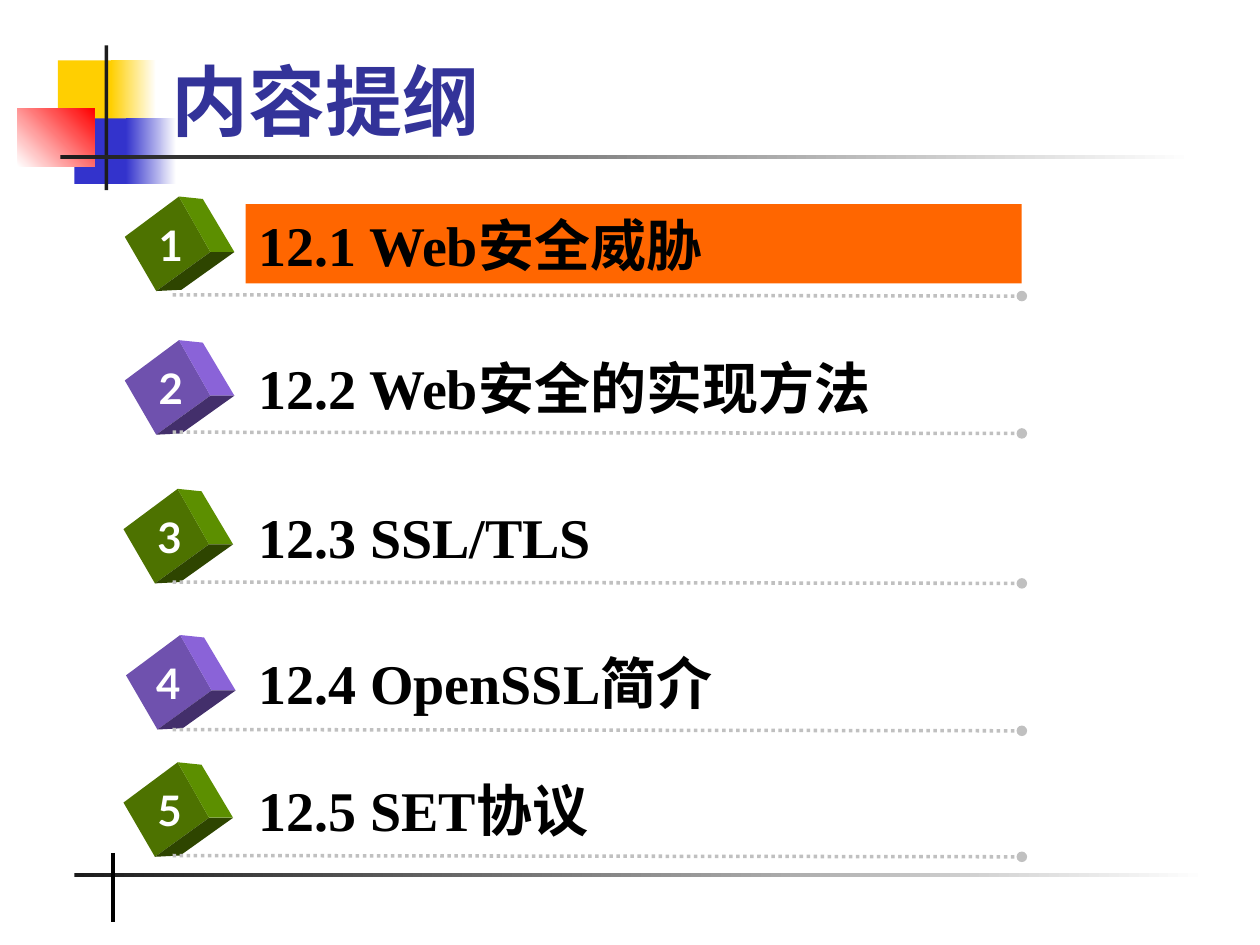
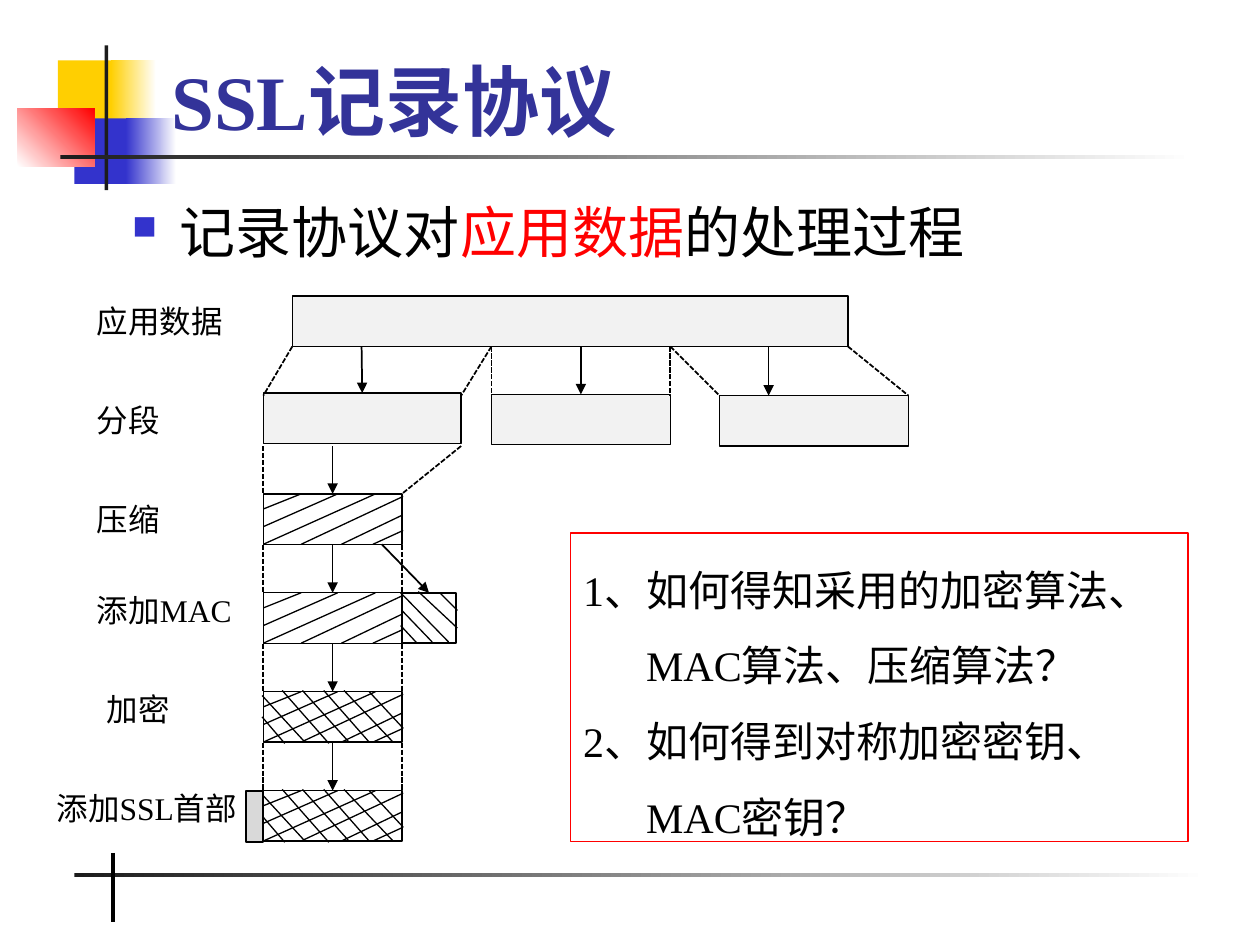
from pptx import Presentation
from pptx.dml.color import RGBColor
from pptx.enum.dml import MSO_LINE_DASH_STYLE as Dash
from pptx.enum.shapes import MSO_CONNECTOR_TYPE as Connector, MSO_SHAPE as Shape
from pptx.enum.text import MSO_ANCHOR as Anchor, MSO_AUTO_SIZE as AutoSize, PP_ALIGN as Align
from pptx.oxml.ns import qn
from pptx.util import Inches, Pt
from lxml.etree import SubElement

COLORS = {
    "black": "000000", "white": "FFFFFF", "ink": "1C1C1C", "title": "333399",
    "yellow": "FFCF01", "blue": "3333CC", "red": "FF0000", "orange": "FF6600",
    "dots": "C0C0C0", "data": "F2F2F2", "header": "D9D9D9",
}
# Front, upper and lower face of a cube
CUBE_COLORS = [("4D7200", "5C8F00", "2E4500"), ("6F51AE", "8A63D8", "432F6B")]
CUBE_FACES = [
    [(0, 0.32), (0.43, 0), (0.68, 0.44), (0.25, 0.75)],
    [(0.43, 0), (0.62, 0.02), (0.87, 0.44), (0.68, 0.44)],
    [(0.25, 0.75), (0.45, 0.74), (0.87, 0.44), (0.68, 0.44)],
]
SERIF = "Times New Roman"

# Text, text top, dotted line top, cube left
OUTLINE = [
    ("12.1 Web安全威胁", 1.62, 2.34, 0.99),
    ("12.2 Web安全的实现方法", 2.76, 3.43, 0.99),
    ("12.3 SSL/TLS", 3.94, 4.62, 0.98),
    ("12.4 OpenSSL简介", 5.1, 5.79, 1),
    ("12.5 SET协议", 6.11, 6.79, 0.98),
]

# Hatch strokes (x1, y1, x2, y2) from the top left corner of a block
RISING = [
    (0.3, 0, 0, 0.12), (0, 0.26, 0.59, 0), (0.62, 0.4, 1.1, 0.17),
    (0, 0.4, 0.89, 0), (0.3, 0.4, 1.11, 0.02), (1.11, 0.29, 0.87, 0.4),
]
FALLING = [
    (-0.01, 0.2, 0.17, 0.41), (-0.01, 0.03, 0.33, 0.4), (0.15, -0.01, 0.52, 0.41),
    (0.31, -0.01, 0.68, 0.4), (0.48, -0.01, 0.84, 0.4), (0.64, -0.01, 1.03, 0.4),
    (0.84, 0, 1.11, 0.29),
]
MAC_HATCH = [
    (0.3, 0, 0.44, 0.14), (0.13, -0.01, 0.44, 0.28), (-0.01, 0, 0.37, 0.39),
    (0, 0.14, 0.24, 0.39), (-0.01, 0.26, 0.12, 0.4),
]


def rgb(name):
    return RGBColor.from_string(COLORS.get(name, name))


def set_font(font, size, color="black", name=SERIF, bold=False):
    font.size, font.name, font.bold = Pt(size), name, bold
    font.color.rgb = rgb(color)


def add_box(slide, left, top, width, height, fill=None, line=None, weight=0.75):
    shape = slide.shapes.add_shape(
        Shape.RECTANGLE, Inches(left), Inches(top), Inches(width), Inches(height))
    shape.shadow.inherit = False
    if fill:
        shape.fill.solid()
        shape.fill.fore_color.rgb = rgb(fill)
    else:
        shape.fill.background()
    if line:
        shape.line.color.rgb = rgb(line)
        shape.line.width = Pt(weight)
    else:
        shape.line.fill.background()
    return shape


def add_gradient_box(slide, box, start, end, angle=0):
    shape = add_box(slide, *box)
    shape.fill.gradient()
    shape.fill.gradient_angle = angle
    for stop, color in zip(shape.fill.gradient_stops, (start, end)):
        stop.color.rgb = rgb(color)


def add_line(slide, x1, y1, x2, y2, color="black", weight=1, dash=None, tail=None):
    line = slide.shapes.add_connector(
        Connector.STRAIGHT, Inches(x1), Inches(y1), Inches(x2), Inches(y2))
    line.line.color.rgb = rgb(color)
    line.line.width = Pt(weight)
    if dash:
        line.line.dash_style = dash
    properties = line._element.spPr
    if tail:
        SubElement(properties.find(qn("a:ln")), qn("a:tailEnd"), type=tail)
    SubElement(properties, qn("a:effectLst"))
    return line


def add_text(slide, left, top, width, height, text, wrap=True):
    """Add a text box; return its first paragraph."""
    box = slide.shapes.add_textbox(Inches(left), Inches(top), Inches(width), Inches(height))
    box.text_frame.word_wrap = wrap
    paragraph = box.text_frame.paragraphs[0]
    paragraph.text = text
    return paragraph


def add_titled_slide(presentation, text):
    """Add a slide with the shared corner blocks, rules and title."""
    slide = presentation.slides.add_slide(presentation.slide_layouts[5])
    add_box(slide, 0.46, 0.48, 0.48, 0.52, "yellow")
    add_gradient_box(slide, (0.88, 0.48, 0.36, 0.52), "yellow", "white")
    add_box(slide, 0.59, 0.94, 0.46, 0.52, "blue")
    add_gradient_box(slide, (1, 0.94, 0.4, 0.52), "blue", "white")
    add_gradient_box(slide, (0.14, 0.86, 0.61, 0.46), "white", "red", 45)
    add_box(slide, 0.83, 0.36, 0.03, 1.15, "ink")
    for left, top in ((0.48, 1.23), (0.59, 6.93)):
        add_gradient_box(slide, (left, top, 9, 0.03), "ink", "white")
    add_line(slide, 0.9, 6.77, 0.9, 7.32, weight=2.25)

    title = slide.shapes.title
    title.left, title.top = Inches(1.26), Inches(0.16)
    title.width, title.height = Inches(8.52), Inches(1.05)
    frame = title.text_frame
    frame.text = text
    frame.auto_size = AutoSize.NONE
    frame.vertical_anchor = Anchor.BOTTOM
    frame.paragraphs[0].alignment = Align.LEFT
    set_font(frame.paragraphs[0].font, 44, "title", bold=True)
    title.element.getparent().append(title.element)  # bring to front
    return slide


def add_cube(slide, left, top, colors, number):
    for face, color in zip(CUBE_FACES, colors):
        points = [(Inches(left + x), Inches(top + y)) for x, y in face]
        builder = slide.shapes.build_freeform(*points[0], scale=1.0)
        builder.add_line_segments(points[1:], close=True)
        shape = builder.convert_to_shape()
        shape.shadow.inherit = False
        shape.fill.solid()
        shape.fill.fore_color.rgb = rgb(color)
        shape.line.fill.background()
    offset = 0.14 if number == 4 else 0.17
    paragraph = add_text(slide, left + offset, top + 0.13, 0.39, 0.5, str(number), wrap=False)
    paragraph.alignment = Align.CENTER
    set_font(paragraph.font, 24, "white", "Lato", True)


def add_outline_row(slide, number, text, top, line_top, cube_left):
    add_cube(slide, cube_left, top - 0.06, CUBE_COLORS[(number - 1) % 2], number)
    if number == 1:
        add_box(slide, 1.95, top, 6.16, 0.63, "orange")
    paragraph = add_text(slide, 1.95, top, 6.16, 0.63, text)
    set_font(paragraph.font, 32, bold=True)
    add_line(slide, 1.37, line_top, 8.11, line_top + 0.01, "dots", 2,
             Dash.ROUND_DOT, "oval")


def add_heading_bullet(slide):
    paragraph = add_text(slide, 0.95, 1.43, 8.5, 0.8, "")
    properties = paragraph._p.get_or_add_pPr()
    properties.set("marL", str(Inches(0.38)))
    properties.set("indent", str(Inches(-0.38)))
    color = SubElement(properties, qn("a:buClr"))
    SubElement(color, qn("a:srgbClr"), val=COLORS["blue"])
    SubElement(properties, qn("a:buSzPct"), val="60000")
    SubElement(properties, qn("a:buChar"), char="■")
    paragraph.line_spacing = Pt(45)
    for text, name in (("记录协议对", "black"), ("应用数据", "red"), ("的处理过程", "black")):
        run = paragraph.add_run()
        run.text = text
        set_font(run.font, 32, name)


def add_stage_labels(slide):
    labels = [
        (0.67, 2.35, 1.3, ["应用数据"]), (0.67, 3.13, 1.28, ["分段"]),
        (0.67, 3.92, 1.28, ["压缩"]), (0.67, 4.64, 1.28, ["添加", "MAC"]),
        (0.75, 5.43, 1.28, ["加密"]), (0.35, 6.21, 1.65, ["添加", "SSL", "首部"]),
    ]
    for left, top, width, texts in labels:
        paragraph = add_text(slide, left, top, width, 0.4, "")
        for text in texts:
            run = paragraph.add_run()
            run.text = text
            set_font(run.font, 18, name=SERIF if text.isascii() else "Calibri")


def add_block(slide, left, top, width, hatch, weight=0.75):
    block = add_box(slide, left, top, width, 0.4, line="black", weight=weight)
    for x1, y1, x2, y2 in hatch:
        add_line(slide, left + x1, top + y1, left + x2, top + y2, weight=0.75)
    return block


def add_arrow(slide, x1, y1, x2, y2, start=None, end=None):
    """Draw an arrow, joined to the bottom of start and the top of end if given."""
    arrow = add_line(slide, x1, y1, x2, y2, tail="triangle")
    if start is not None:
        arrow.begin_connect(start, 2)
    if end is not None:
        arrow.end_connect(end, 0)


def add_record_diagram(slide, left=2.09, top=2.35):
    data_bottom, block_width = top + 0.4, 1.1
    right = left + block_width
    add_box(slide, left + 0.23, top, 4.41, 0.4, "data", "black")
    segments = [
        add_box(slide, left + x, top + y, width, 0.4, "data", "black")
        for x, y, width in ((0, 0.77, 1.57), (1.81, 0.78, 1.42), (3.62, 0.79, 1.5))
    ]
    for x1, x2 in ((0.23, 0), (1.81, 1.57), (1.81, 1.81),
                   (3.23, 3.23), (3.23, 3.62), (4.64, 5.12)):
        add_line(slide, left + x1, data_bottom, left + x2, data_bottom + 0.39,
                 dash=Dash.SQUARE_DOT)
    for x, segment in ((0.78, segments[0]), (2.52, segments[1]), (4.01, None)):
        add_arrow(slide, left + x, data_bottom, left + x, data_bottom + 0.39, end=segment)

    hatches = [RISING, RISING, RISING + FALLING, RISING + FALLING]
    tops = [top + 1.57 + 0.785 * step for step in range(len(hatches))]
    blocks = [add_block(slide, left, block_top, block_width, hatch)
              for block_top, hatch in zip(tops, hatches)]
    mac = add_block(slide, right, tops[1], 0.43, MAC_HATCH, 1)
    add_box(slide, left - 0.14, tops[3], 0.14, 0.41, "header", "black", 1)

    middle = left + block_width / 2
    for index, (block, block_top) in enumerate(zip(blocks, tops)):
        start = blocks[index - 1] if index else None
        upper_right = right if index else left + 1.57
        add_arrow(slide, middle, block_top - 0.38, middle, block_top, start, block)
        for x1, x2 in ((left, left), (upper_right, right)):
            add_line(slide, x1, block_top - 0.38, x2, block_top, dash=Dash.SQUARE_DOT)
    add_arrow(slide, left + 0.94, tops[0] + 0.4, left + 1.31, tops[1], end=mac)


def add_questions(slide):
    frame = add_box(slide, 4.53, 4.23, 4.9, 2.45, line="red").text_frame
    frame.word_wrap = True
    frame.vertical_anchor = Anchor.TOP
    lines = ["1、如何得知采用的加密算法、", "MAC算法、压缩算法？",
             "2、如何得到对称加密密钥、", "MAC密钥？"]
    for index, text in enumerate(lines):
        paragraph = frame.add_paragraph() if index else frame.paragraphs[0]
        paragraph.text = text
        paragraph.alignment = Align.LEFT
        paragraph.line_spacing = 1.5
        if index % 2:
            paragraph._p.get_or_add_pPr().set("marL", str(Inches(0.5)))
        set_font(paragraph.font, 24)


def build_outline_slide(presentation):
    slide = add_titled_slide(presentation, "内容提纲")
    for number, row in enumerate(OUTLINE, 1):
        add_outline_row(slide, number, *row)


def build_record_slide(presentation):
    slide = add_titled_slide(presentation, "SSL记录协议")
    add_heading_bullet(slide)
    add_record_diagram(slide)
    add_stage_labels(slide)
    add_questions(slide)


def main():
    presentation = Presentation()
    presentation.slide_width, presentation.slide_height = Inches(10), Inches(7.5)
    build_outline_slide(presentation)
    build_record_slide(presentation)
    presentation.save("out.pptx")


if __name__ == "__main__":
    main()
